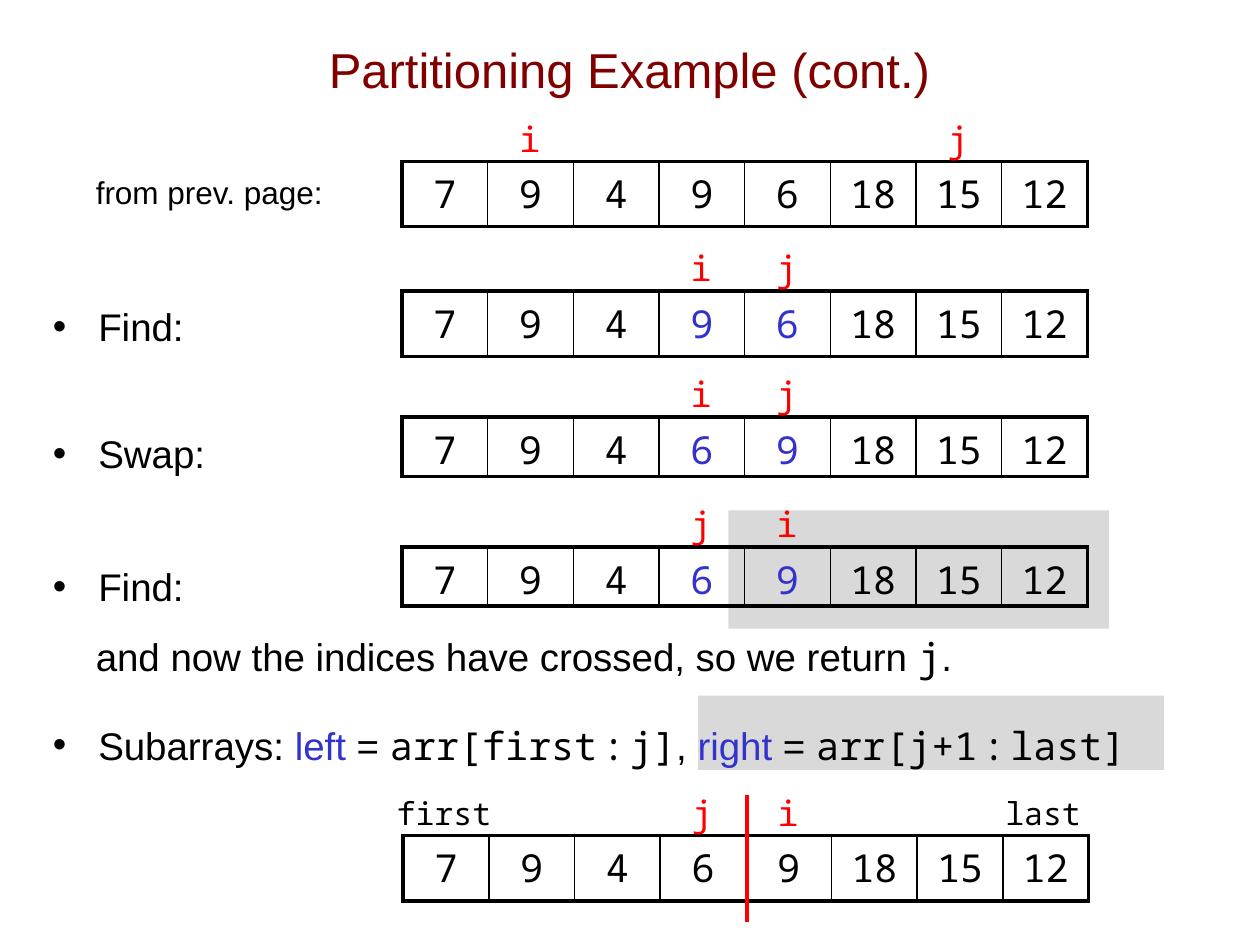
from lxml import etree
from pptx import Presentation
from pptx.dml.color import RGBColor
from pptx.enum.shapes import MSO_CONNECTOR, MSO_SHAPE
from pptx.enum.text import MSO_ANCHOR, MSO_AUTO_SIZE, PP_ALIGN
from pptx.oxml.ns import qn
from pptx.util import Inches, Pt

CENTER, LEFT = PP_ALIGN.CENTER, PP_ALIGN.LEFT
BLACK = RGBColor(0, 0, 0)
BLUE = RGBColor(0x33, 0x33, 0xCC)
RED = RGBColor(0xFF, 0, 0)
MAROON = RGBColor(0x80, 0, 0)
GRAY = RGBColor(0xD9, 0xD9, 0xD9)
SANS, MONO = "Arial", "Noto Sans Mono"

# Run styles: font, size, colour
TEXT = (SANS, 22, BLACK)
SMALL = (SANS, 18, BLACK)
GAP = (SANS, 10, BLACK)
CODE = (MONO, 22, BLACK)
KEY = (SANS, 22, BLUE)
MARK = (MONO, 20, RED)
END = (MONO, 18, BLACK)

TITLE = "Partitioning Example (cont.)"
# Bulleted?, space before, runs
BODY = [
    (False, 0, [("from prev. page:", SMALL)]),
    (True, 52.8, [("Find:", TEXT)]),
    (True, 46.2, [("Swap:", TEXT)]),
    (True, 49.5, [("Find:", TEXT)]),
    (False, 14, [("and now the indices have crossed, so we return ", TEXT),
                 ("j", CODE), (".", TEXT)]),
    (True, 24, [("Subarrays: ", TEXT), ("left", KEY), (" = ", TEXT),
                ("arr[first", CODE), (" ", GAP), (":", CODE), (" ", GAP),
                ("j]", CODE), (", ", TEXT), ("right", KEY), (" = ", TEXT),
                ("arr[j+1", CODE), (" ", GAP), (":", CODE), (" ", GAP),
                ("last]", CODE)]),
]
# Left, top, row height, values, blue columns, column of each index
ARRAYS = [
    (3.19, 1.28, 0.52, [7, 9, 4, 9, 6, 18, 15, 12], (), {"i": 1, "j": 6}),
    (3.19, 2.31, 0.52, [7, 9, 4, 9, 6, 18, 15, 12], (3, 4), {"i": 3, "j": 4}),
    (3.19, 3.31, 0.47, [7, 9, 4, 6, 9, 18, 15, 12], (3, 4), {"i": 3, "j": 4}),
    (3.19, 4.34, 0.47, [7, 9, 4, 6, 9, 18, 15, 12], (3, 4), {"j": 3, "i": 4}),
    (3.2, 6.63, 0.52, [7, 9, 4, 6, 9, 18, 15, 12], (), {"j": 3, "i": 4}),
]
ENDS = [("first", 3.05, 0.96), ("last", 7.88, 0.81)]
SHADES = [(5.78, 4.05, 3.02, 0.94), (5.54, 5.52, 3.7, 0.59)]
CELL = 0.68


def place(shape, *box):
    shape.left, shape.top, shape.width, shape.height = map(Inches, box)


def style(font, look):
    font.name, size, font.color.rgb = look
    font.size = Pt(size)


def set_line(para, text, look, align):
    para.text = text
    para.alignment = align
    style(para.runs[0].font, look)


def set_bullet(para, shown):
    props = para._p.get_or_add_pPr()
    props.set("marL", str(Inches(0.36 if shown else 0.34)))
    props.set("indent", str(Inches(-0.36 if shown else 0)))
    if shown:
        etree.SubElement(props, qn("a:buChar")).set("char", "•")
    else:
        etree.SubElement(props, qn("a:buNone"))


def add_label(slide, text, look, box, align):
    label = slide.shapes.add_textbox(*map(Inches, box))
    frame = label.text_frame
    frame.word_wrap = False
    set_line(frame.paragraphs[0], text, look, align)


def set_edges(cell, widths):
    """Draw the left, right, top and bottom borders, in points."""
    props = cell._tc.get_or_add_tcPr()
    for spot, (side, width) in enumerate(zip("LRTB", widths)):
        edge = etree.Element(qn("a:ln" + side), w=str(Pt(width)))
        fill = etree.SubElement(edge, qn("a:solidFill"))
        etree.SubElement(fill, qn("a:srgbClr"), val=str(BLACK))
        props.insert(spot, edge)


def add_array(slide, left, top, height, values, blue, marks):
    count = len(values)
    box = map(Inches, (left, top, CELL * count, height))
    table = slide.shapes.add_table(1, count, *box).table
    table.first_row = table.horz_banding = False
    for col, value in enumerate(values):
        table.columns[col].width = Inches(CELL)
        cell = table.cell(0, col)
        cell.fill.background()
        cell.margin_top, cell.margin_bottom = Inches(0.05), 0
        look = (MONO, 22, BLUE if col in blue else BLACK)
        set_line(cell.text_frame.paragraphs[0], str(value), look, CENTER)
        set_edges(cell, (2.25 if col == 0 else 1,
                         2.25 if col == count - 1 else 1, 2.25, 2.25))
    for name, col in marks.items():
        mid = left + CELL * (col + 0.5)
        add_label(slide, name, MARK, (mid - 0.19, top - 0.4, 0.37, 0.43), CENTER)


def fill_body(frame):
    frame.auto_size = MSO_AUTO_SIZE.NONE
    for row, (shown, space, runs) in enumerate(BODY):
        para = frame.add_paragraph() if row else frame.paragraphs[0]
        set_bullet(para, shown)
        para.space_before = Pt(space)
        for text, look in runs:
            run = para.add_run()
            run.text = text
            style(run.font, look)


def main():
    deck = Presentation()
    deck.slide_width, deck.slide_height = Inches(10), Inches(7.5)
    slide = deck.slides.add_slide(deck.slide_layouts[1])
    title, body = slide.placeholders

    place(title, 0.75, 0.08, 8.49, 0.93)
    title.text_frame.vertical_anchor = MSO_ANCHOR.MIDDLE
    set_line(title.text_frame.paragraphs[0], TITLE, (SANS, 28, MAROON), CENTER)

    place(body, 0.32, 1.32, 9.54, 5.67)
    fill_body(body.text_frame)

    for box in SHADES:
        shade = slide.shapes.add_shape(MSO_SHAPE.RECTANGLE, *map(Inches, box))
        shade.shadow.inherit = False
        shade.fill.solid()
        shade.fill.fore_color.rgb = GRAY
        shade.line.fill.background()
        body._element.addprevious(shade._element)

    for array in ARRAYS:
        add_array(slide, *array)
    for text, left, width in ENDS:
        add_label(slide, text, END, (left, 6.25, width, 0.4), LEFT)

    split = slide.shapes.add_connector(
        MSO_CONNECTOR.STRAIGHT, *map(Inches, (5.93, 7.32, 5.93, 6.31)))
    split.line.color.rgb = RED
    split.line.width = Pt(2.25)
    etree.SubElement(split._element.spPr, qn("a:effectLst"))

    deck.save("out.pptx")


if __name__ == "__main__":
    main()
